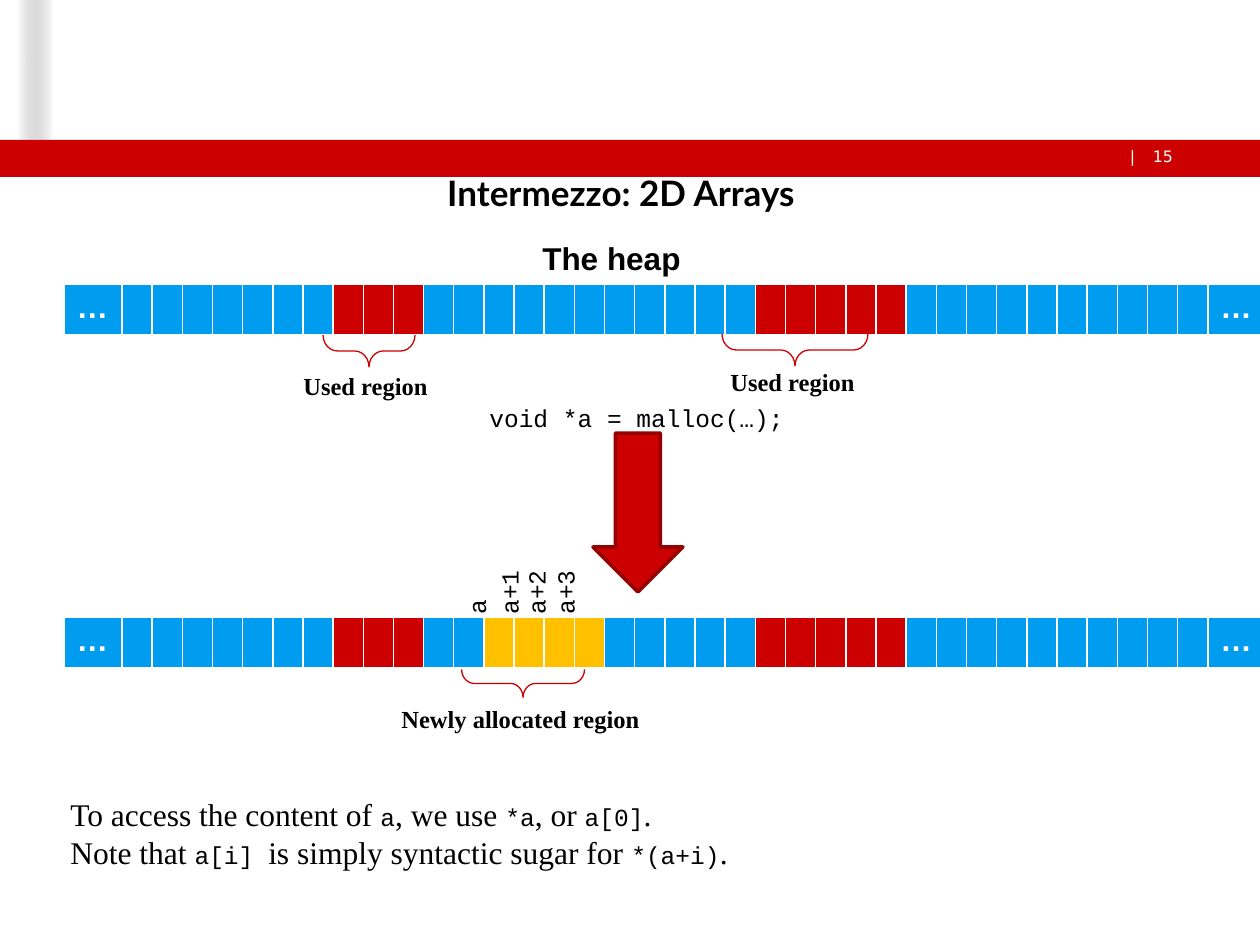
from lxml.etree import SubElement
from pptx import Presentation
from pptx.dml.color import RGBColor
from pptx.enum.shapes import MSO_SHAPE as Kind
from pptx.enum.text import MSO_ANCHOR, MSO_AUTO_SIZE, PP_ALIGN
from pptx.oxml.ns import qn
from pptx.util import Emu, Pt

SCALE = 914400 // 126
RED, BLUE, GOLD = "CC0000", "009CEF", "FFC000"
WHITE, BLACK, DARK = "FFFFFF", "000000", "970000"
SERIF, MONO, SANS = "Times New Roman", "Courier New", "Arial"


def px(num):
    """Turn whole px into EMU."""
    return Emu(num * SCALE)


def rgb(code):
    """Turn a hex string into a colour."""
    return RGBColor.from_string(code)


def write(frame, text, font=SERIF, size=14, color=BLACK, bold=False,
          align=PP_ALIGN.LEFT):
    """Fill a frame line by line; parts between backticks are set as code."""
    for row, line in enumerate(text.split("\n")):
        para = frame.add_paragraph() if row else frame.paragraphs[0]
        para.alignment = align
        for spot, part in enumerate(line.split("`")):
            run = para.add_run()
            run.text = part
            run.font.name = MONO if spot % 2 else font
            run.font.size = Pt(14 if spot % 2 else size)
            run.font.bold = bold
            run.font.color.rgb = rgb(color)


class Deck:
    """Holds the style and the current slide."""

    def __init__(self):
        """Start a deck with one titled slide."""
        self.file = Presentation()
        self.file.slide_width, self.file.slide_height = px(1260), px(945)
        self.slide = self.file.slides.add_slide(self.file.slide_layouts[5])
        self.shapes = self.slide.shapes

    def title(self, text, x, y, w, h):
        """Place and format the title."""
        head = self.shapes.title
        head.left, head.top, head.width, head.height = map(px, (x, y, w, h))
        frame = head.text_frame
        frame.auto_size = MSO_AUTO_SIZE.NONE
        frame.vertical_anchor = MSO_ANCHOR.MIDDLE
        write(frame, text, font="Lato", size=20, bold=True,
              align=PP_ALIGN.CENTER)

    def shape(self, kind, x, y, w, h, fill=None, line=None, width=1):
        """Add a preset shape."""
        item = self.shapes.add_shape(kind, px(x), px(y), px(w), px(h))
        item.shadow.inherit = False
        if fill:
            item.fill.solid()
            item.fill.fore_color.rgb = rgb(fill)
        else:
            item.fill.background()
        if line:
            item.line.color.rgb = rgb(line)
            item.line.width = Pt(width)
        else:
            item.line.fill.background()
        return item

    def fade(self, x, y, w, h):
        """Add a strip that runs from white to clear grey."""
        fill = self.shape(Kind.RECTANGLE, x, y, w, h).fill
        fill.gradient()
        fill.gradient_angle = 0
        for stop, place, code in zip(fill.gradient_stops, (0, 1),
                                     (WHITE, "757575")):
            stop.position = place
            stop.color.rgb = rgb(code)
        tone = list(self.shapes[-1].element.iter(qn("a:srgbClr")))[-1]
        SubElement(tone, qn("a:alpha"), val="0")

    def brace(self, x, y, w, h):
        """Add a brace that points down."""
        item = self.shape(Kind.RIGHT_BRACE, x, y, w, h, line=RED, width=0.75)
        item.adjustments[0] = 0.447
        item.rotation = 90

    def text(self, text, x, y, w, h, wrap=True, turn=0, pad=True, **style):
        """Add a text box."""
        box = self.shapes.add_textbox(px(x), px(y), px(w), px(h))
        box.rotation = turn
        frame = box.text_frame
        frame.word_wrap = wrap
        if not pad:
            frame.margin_left = frame.margin_right = 0
            frame.margin_top = frame.margin_bottom = 0
        write(frame, text, **style)

    def heap(self, y, spans):
        """Add a strip of heap cells, with spans of (first, last, colour)."""
        count, wide, slim = 38, 58, 29
        total = 2 * wide + (count - 2) * slim
        table = self.shapes.add_table(1, count, px(64), px(y), px(total),
                                      px(52)).table
        table.first_row = table.horz_banding = False
        table.rows[0].height = px(52)
        tints = [BLUE] * count
        for first, last, tint in spans:
            tints[first:last + 1] = [tint] * (last + 1 - first)
        for spot, tint in enumerate(tints):
            end = spot in (0, count - 1)
            table.columns[spot].width = px(wide if end else slim)
            cell = table.cell(0, spot)
            self.edge(cell)
            cell.fill.solid()
            cell.fill.fore_color.rgb = rgb(tint)
            if end:
                write(cell.text_frame, "…", font=SANS, size=18, color=WHITE,
                      bold=True)

    def edge(self, cell):
        """Draw white borders, with a thick one below."""
        props = cell._tc.get_or_add_tcPr()
        for side, width in zip("LRTB", (1, 1, 1, 3)):
            line = SubElement(props, qn("a:ln" + side), w=str(Pt(width)))
            fill = SubElement(line, qn("a:solidFill"))
            SubElement(fill, qn("a:srgbClr"), val=WHITE)


def main():
    """Build the slide."""
    deck = Deck()
    deck.fade(18, 0, 35, 140)
    deck.shape(Kind.RECTANGLE, 0, 0, 18, 140, fill=WHITE)
    deck.shape(Kind.RECTANGLE, 0, 140, 1260, 37, fill=RED)
    small = dict(font="DejaVu Sans", size=9, color=WHITE, pad=False)
    deck.text("15", 1138, 147, 35, 19, align=PP_ALIGN.RIGHT, **small)
    deck.text("|", 1130, 147, 8, 19, wrap=False, **small)
    deck.title("Intermezzo: 2D Arrays", 142, 165, 958, 55)

    used = [(8, 10, RED), (22, 26, RED)]
    deck.heap(284, used)
    deck.text("The heap", 530, 233, 165, 50, wrap=False, font=SANS, size=18,
              bold=True)
    deck.brace(353, 305, 32, 92)
    deck.brace(779, 277, 32, 146)
    for x, y, w, text in ((291, 365, 154, "Used region"),
                          (718, 361, 154, "Used region"),
                          (389, 698, 268, "Newly allocated region")):
        deck.text(text, x, y, w, 43, wrap=False, bold=True)

    deck.shape(Kind.DOWN_ARROW, 593, 433, 90, 159, fill=RED, line=DARK,
               width=2)
    deck.text("void *a = malloc(…);", 477, 397, 338, 43, font=MONO)

    deck.heap(617, used + [(13, 16, GOLD)])
    deck.brace(509, 622, 28, 123)
    deck.text("a", 460, 588, 34, 43, turn=270, font=MONO)
    for step, x in enumerate((447, 474, 503), 1):
        deck.text(f"a+{step}", x, 543, 125, 43, turn=270, font=MONO)

    deck.text("To access the content of `a`, we use `*a`, or `a[0]`.\n"
              "Note that `a[i] `is simply syntactic sugar for `*(a+i)`.",
              58, 789, 1200, 89, size=18)
    deck.file.save("out.pptx")


if __name__ == "__main__":
    main()
